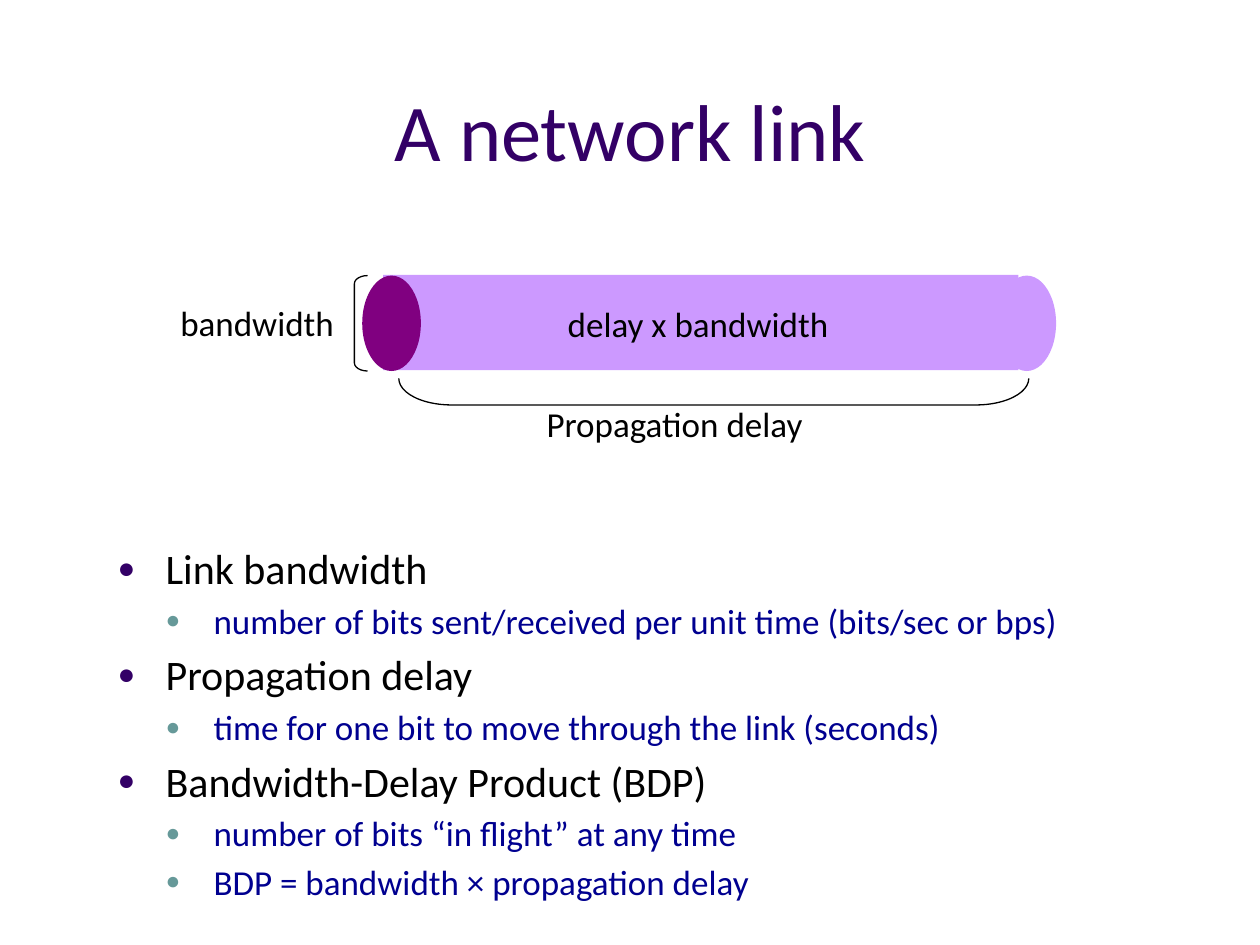
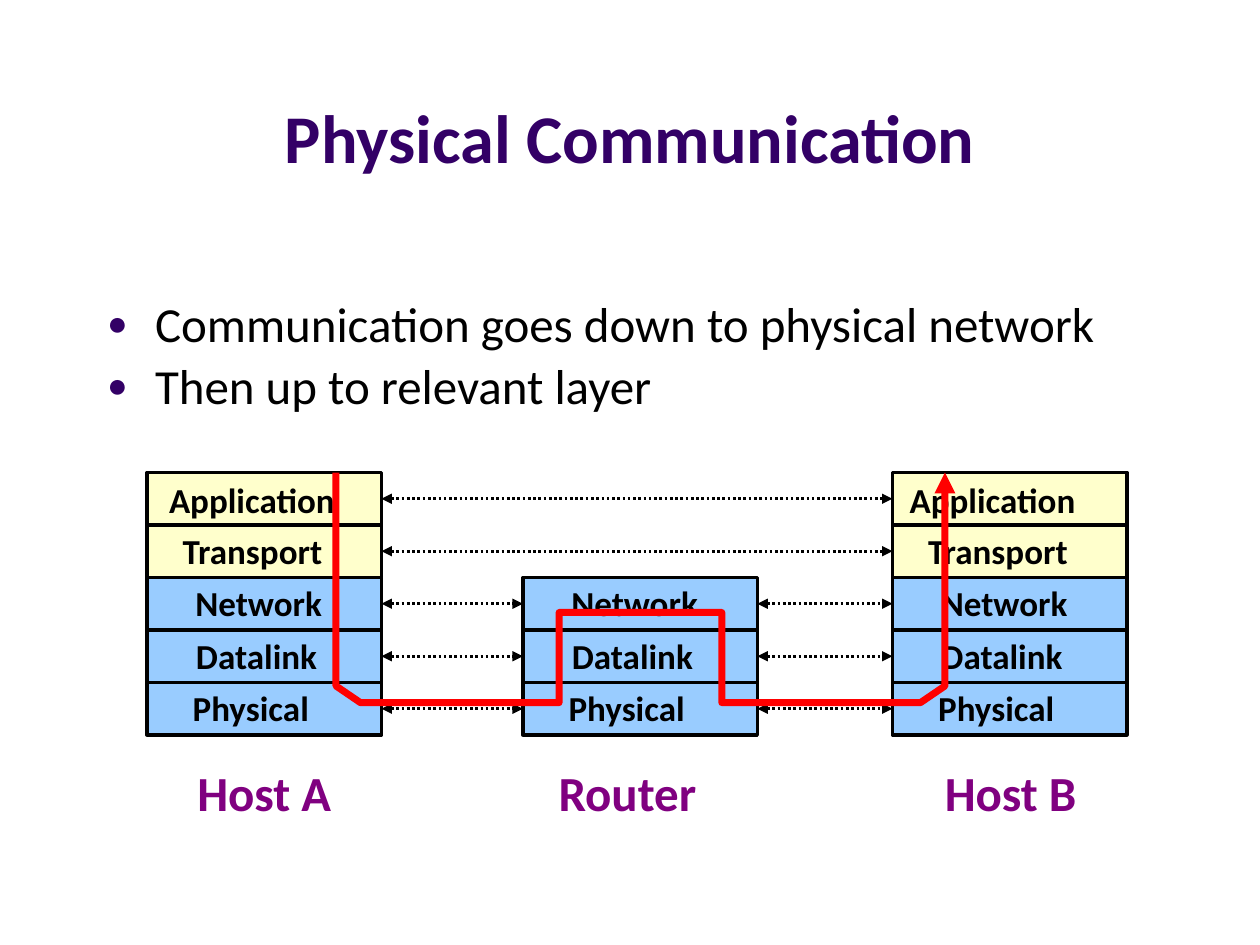
from lxml.etree import SubElement
from pptx import Presentation
from pptx.dml.color import RGBColor
from pptx.enum.dml import MSO_LINE
from pptx.enum.shapes import MSO_CONNECTOR, MSO_SHAPE
from pptx.enum.text import MSO_ANCHOR, MSO_AUTO_SIZE, PP_ALIGN
from pptx.oxml.ns import qn
from pptx.util import Pt

# Theme: colours and type sizes
THEME = {
    "black": RGBColor(0x00, 0x00, 0x00),
    "title": RGBColor(0x33, 0x00, 0x66),
    "navy": RGBColor(0x00, 0x00, 0x90),
    "teal": RGBColor(0x66, 0x99, 0x99),
    "lilac": RGBColor(0xCC, 0x99, 0xFF),
    "purple": RGBColor(0x80, 0x00, 0x80),
    "host": RGBColor(0xFF, 0xFF, 0xCC),
    "network": RGBColor(0x99, 0xCC, 0xFF),
    "route": RGBColor(0xFF, 0x00, 0x00),
    "label": 20,
    "caption": 28,
}
BULLET_COLORS = [THEME["title"], THEME["teal"]]
TEXT_COLORS = [THEME["black"], THEME["navy"]]
BULLET_INDENT = 27.4
BULLET_GAP = 0.18  # space before, as a share of the type size


def write_run(p, text, size, color, bold=False):
    r = p.add_run()
    r.text = text
    for name, value in {"name": "Calibri", "size": Pt(size), "bold": bold}.items():
        setattr(r.font, name, value)
    r.font.color.rgb = color


def add_label(s, text, box, align, size=THEME["label"], color=THEME["black"], bold=False):
    tf = s.shapes.add_textbox(*map(Pt, box)).text_frame
    for name, value in {"word_wrap": False, "auto_size": MSO_AUTO_SIZE.SHAPE_TO_FIT_TEXT}.items():
        setattr(tf, name, value)
    p = tf.paragraphs[0]
    p.alignment = align
    write_run(p, text, size, color, bold)


prs = Presentation()
prs.slide_width, prs.slide_height = Pt(720), Pt(540)

# Titles and bullet lists
PAGES = [
    {
        "title": "A network link", "title_size": 46, "bold": False,
        "box": (60, 306.5, 672, 233.5), "sizes": [24, 20], "spacing": 1.0,
        "bullets": [
            (0, "Link bandwidth"),
            (1, "number of bits sent/received per unit time (bits/sec or bps)"),
            (0, "Propagation delay"),
            (1, "time for one bit to move through the link (seconds)"),
            (0, "Bandwidth-Delay Product (BDP)"),
            (1, "number of bits “in flight” at any time"),
            (1, "BDP = bandwidth × propagation delay"),
        ],
    },
    {
        "title": "Physical Communication", "title_size": 39, "bold": True,
        "box": (54, 168, 612, 114), "sizes": [28], "spacing": 0.9,
        "bullets": [
            (0, "Communication goes down to physical network"),
            (0, "Then up to relevant layer"),
        ],
    },
]

for page in PAGES:
    s = prs.slides.add_slide(prs.slide_layouts[1])
    title, body = s.shapes.title, s.placeholders[1]
    for sp, box, anchor in [(title, (36, 9.5, 648, 92), MSO_ANCHOR.BOTTOM),
                            (body, page["box"], MSO_ANCHOR.TOP)]:
        sp.left, sp.top, sp.width, sp.height = map(Pt, box)
        for name, value in {"vertical_anchor": anchor, "word_wrap": True,
                            "auto_size": MSO_AUTO_SIZE.NONE}.items():
            setattr(sp.text_frame, name, value)
    title.text_frame.margin_bottom = 0
    p = title.text_frame.paragraphs[0]
    p.alignment = PP_ALIGN.CENTER
    write_run(p, page["title"], page["title_size"], THEME["title"], page["bold"])

    tf = body.text_frame
    for i, (level, text) in enumerate(page["bullets"]):
        p = tf.add_paragraph() if i else tf.paragraphs[0]
        size = page["sizes"][level]
        p.level = level
        pPr = p._p.get_or_add_pPr()
        pPr.set("marL", str(Pt(BULLET_INDENT * (level + 1))))
        pPr.set("indent", str(-Pt(BULLET_INDENT)))
        SubElement(SubElement(pPr, qn("a:buClr")), qn("a:srgbClr"), val=str(BULLET_COLORS[level]))
        SubElement(pPr, qn("a:buSzPct"), val="70000")
        SubElement(pPr, qn("a:buFont"), typeface="Arial")
        SubElement(pPr, qn("a:buChar"), char="●")
        p.line_spacing = page["spacing"]
        p.space_before = Pt(size * BULLET_GAP if i else 0)
        write_run(p, text, size, TEXT_COLORS[level])

link_slide, layer_slide = prs.slides

# Link pipe: far end, body, near end
s = link_slide
for kind, box, color in [
    (MSO_SHAPE.OVAL, (570, 157.5, 33.5, 54.5), "lilac"),
    (MSO_SHAPE.RECTANGLE, (219, 157, 363, 54.5), "lilac"),
    (MSO_SHAPE.OVAL, (207, 157.5, 33.5, 54.5), "purple"),
]:
    sp = s.shapes.add_shape(kind, *map(Pt, box))
    sp.shadow.inherit = False
    sp.fill.solid()
    sp.fill.fore_color.rgb = THEME[color]
    sp.line.fill.background()

# Brackets for bandwidth and delay
for box, rotation, curve in [((202.5, 157.5, 7.5, 54.5), 0, 0.61),
                             ((400.3, 43.8, 15.2, 360), 270, 1.98)]:
    sp = s.shapes.add_shape(MSO_SHAPE.LEFT_BRACKET, *map(Pt, box))
    sp.rotation = rotation
    sp.adjustments[0] = curve
    sp.shadow.inherit = False
    sp.fill.background()
    sp.line.color.rgb = THEME["black"]
    sp.line.width = Pt(0.75)

for text, box in [("bandwidth", (95, 168.5, 103, 31.5)),
                  ("Propagation delay", (302.3, 226.7, 163.5, 31.5)),
                  ("delay x bandwidth", (315.5, 169.2, 165, 31.5))]:
    add_label(s, text, box, PP_ALIGN.RIGHT)

# Protocol stacks: (layer, label offset, label width, colour)
s = layer_slide
LAYERS = [
    ("Application", 5.5, 111.5, "host"),
    ("Transport", 13.3, 96.5, "host"),
    ("Network", 20.6, 88, "network"),
    ("Datalink", 20.9, 85, "network"),
    ("Physical", 19, 82, "network"),
]
# (name, left edge, first layer, name left, name width)
STACKS = [("Host A", 84, 0, 105, 92), ("Router", 298.8, 2, 311, 95), ("Host B", 510, 0, 532, 91)]
STACK_TOP, LAYER_W, LAYER_H = 270, 134, 30

rows = [[] for _ in LAYERS]
for name, left, first, name_left, name_width in STACKS:
    for i, (layer, offset, width, color) in enumerate(LAYERS[first:], first):
        top = STACK_TOP + i * LAYER_H
        sp = s.shapes.add_shape(MSO_SHAPE.RECTANGLE, *map(Pt, (left, top, LAYER_W, LAYER_H)))
        sp.shadow.inherit = False
        sp.fill.solid()
        sp.fill.fore_color.rgb = THEME[color]
        sp.line.color.rgb = THEME["black"]
        sp.line.width = Pt(2)
        rows[i].append(sp)
        if (name, layer) == ("Host B", "Application"):
            offset = 2.7
        label_top = top - 1.2 if i else top
        add_label(s, layer, (left + offset, label_top, width, 31.5), PP_ALIGN.LEFT, bold=True)
    add_label(s, name, (name_left, 432, name_width, 41), PP_ALIGN.CENTER,
              THEME["caption"], THEME["purple"], True)

# Dotted arrows between neighbours on the same layer
for row in rows:
    for near, far in zip(row, row[1:]):
        line = s.shapes.add_connector(MSO_CONNECTOR.STRAIGHT, 0, 0, 0, 0)
        line.begin_connect(near, 3)
        line.end_connect(far, 1)
        line.line.color.rgb = THEME["black"]
        line.line.width = Pt(1.5)
        line.line.dash_style = MSO_LINE.ROUND_DOT
        ln = line.line._get_or_add_ln()
        for end in ("a:headEnd", "a:tailEnd"):
            SubElement(ln, qn(end), type="triangle")
        SubElement(line._element.spPr, qn("a:effectLst"))

# Route of the data: down, through the router, up
ROUTE = [(192, 270), (192, 392), (206, 401.5), (319.5, 401.5), (319.5, 350),
         (412.5, 350), (412.5, 401.5), (526, 401.5), (540, 392), (540, 270)]
points = [(Pt(x), Pt(y)) for x, y in ROUTE]
builder = s.shapes.build_freeform(*points[0])
builder.add_line_segments(points[1:], close=False)
sp = builder.convert_to_shape()
sp.shadow.inherit = False
sp.fill.background()
sp.line.color.rgb = THEME["route"]
sp.line.width = Pt(4)
ln = sp.line._get_or_add_ln()
SubElement(ln, qn("a:round"))
SubElement(ln, qn("a:tailEnd"), type="triangle")

prs.save("out.pptx")
